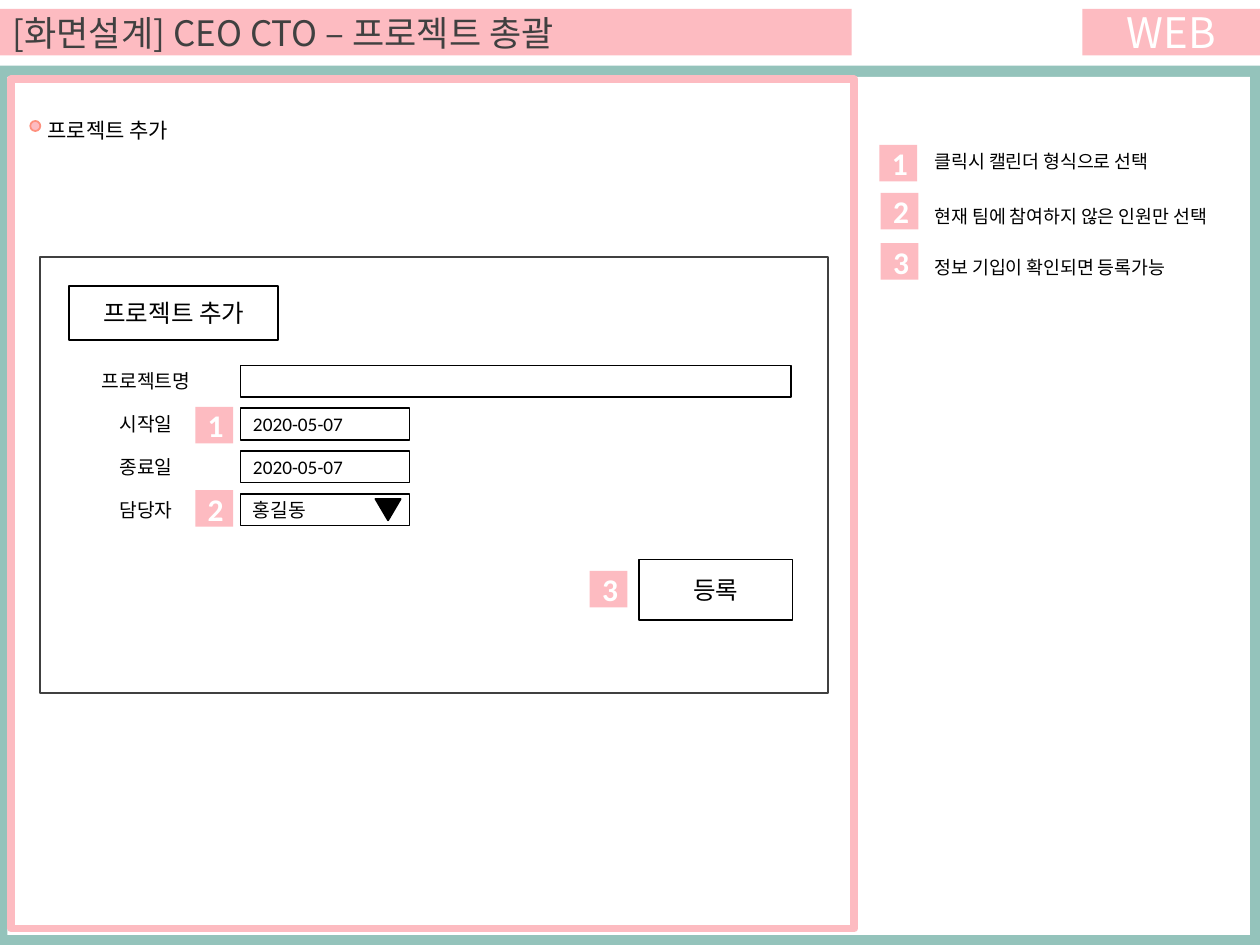
from lxml.etree import SubElement
from pptx import Presentation
from pptx.dml.color import RGBColor
from pptx.enum.shapes import MSO_SHAPE as Shape
from pptx.enum.text import MSO_ANCHOR as Anchor, MSO_AUTO_SIZE as AutoSize, PP_ALIGN as Align
from pptx.oxml.ns import qn
from pptx.util import Inches, Pt

PINK = RGBColor(0xFD, 0xBB, 0xC1)
CORAL = RGBColor(0xFE, 0x90, 0x7E)
TEAL = RGBColor(0x94, 0xC3, 0xBB)
WHITE = RGBColor(0xFF, 0xFF, 0xFF)
GREY = RGBColor(0x40, 0x40, 0x40)
BLACK = RGBColor(0, 0, 0)
LATIN, KOREAN = "Calibri", "Noto Sans CJK KR"

TITLE = "[화면설계] CEO CTO – 프로젝트 총괄"
PLATFORM = "WEB"
SECTION = "프로젝트 추가"
SUBMIT = "등록"
FIELDS = [
    ("프로젝트명", "", 4.37),
    ("시작일", "2020-05-07", 1.34),
    ("종료일", "2020-05-07", 1.34),
    ("담당자", "홍길동", 1.34),
]
NOTES = [
    ("클릭시 캘린더 형식으로 선택", 1.14, 0.28, 1),
    ("현재 팀에 참여하지 않은 인원만 선택", 1.49, 0.37, 1.5),
    ("정보 기입이 확인되면 등록가능", 1.9, 0.37, 1.5),
]
NOTE_MARKERS = [(6.98, 1.15), (6.99, 1.53), (6.99, 1.93)]
FORM_MARKERS = [(1.55, 3.23), (1.55, 3.89), (4.68, 4.53)]
FIELD_TOP, FIELD_PITCH, FIELD_HEIGHT = 2.9, 0.34, 0.25


def write(shape, text, size, color=BLACK, align=Align.LEFT, anchor=Anchor.MIDDLE,
          font=LATIN, bold=False, spacing=None):
    frame = shape.text_frame
    frame.word_wrap = True
    frame.auto_size = AutoSize.NONE
    frame.vertical_anchor = anchor
    paragraph = frame.paragraphs[0]
    paragraph.alignment = align
    paragraph.line_spacing = spacing
    run = paragraph.add_run()
    run.text = text
    run.font.size = Pt(size)
    run.font.bold = bold
    run.font.name = font
    run.font.color.rgb = color
    SubElement(run.font._element, qn("a:ea"), typeface=KOREAN)


def draw(shapes, box, fill=None, line=None, width=1, kind=Shape.RECTANGLE):
    shape = shapes.add_shape(kind, *map(Inches, box))
    shape.shadow.inherit = False
    if fill is None:
        shape.fill.background()
    else:
        shape.fill.solid()
        shape.fill.fore_color.rgb = fill
    if line is None:
        shape.line.fill.background()
    else:
        shape.line.color.rgb = line
        shape.line.width = Pt(width)
    return shape


def label(shapes, box, text, size, **style):
    write(shapes.add_textbox(*map(Inches, box)), text, size, **style)


def main():
    deck = Presentation()
    deck.slide_width, deck.slide_height = Inches(10), Inches(7.5)
    slide = deck.slides.add_slide(deck.slide_layouts[5])
    shapes = slide.shapes

    title = shapes.title
    title.left, title.top, title.width, title.height = map(Inches, (0, 0.07, 6.76, 0.37))
    title.fill.solid()
    title.fill.fore_color.rgb = PINK
    write(title, TITLE, 20, GREY, font=KOREAN)
    platform = draw(shapes, (8.59, 0.07, 1.41, 0.37), PINK)
    write(platform, PLATFORM, 24, WHITE, Align.CENTER, font=KOREAN)

    backdrop = shapes.add_group_shape().shapes
    draw(backdrop, (0, 0.52, 10, 6.98), TEAL)
    draw(backdrop, (0.06, 0.61, 9.86, 6.81), WHITE)
    draw(backdrop, (0.09, 0.63, 6.69, 6.74), line=PINK, width=4.5)

    draw(shapes, (0.24, 0.96, 0.08, 0.08), PINK, CORAL, kind=Shape.OVAL)
    label(shapes, (0.28, 0.88, 3.86, 0.3), SECTION, 12, anchor=Anchor.TOP)

    draw(shapes, (0.32, 2.04, 6.25, 3.46), line=GREY)
    for text, box in [(SECTION, (0.55, 2.27, 1.66, 0.43)), (SUBMIT, (5.07, 4.44, 1.22, 0.48))]:
        write(draw(shapes, box, line=BLACK), text, 14, align=Align.CENTER)

    for row, (name, value, width) in enumerate(FIELDS):
        top = FIELD_TOP + row * FIELD_PITCH
        label(shapes, (0.55, top, 1.22, FIELD_HEIGHT), name, 11, align=Align.CENTER)
        field = draw(shapes, (1.91, top, width, FIELD_HEIGHT), line=BLACK)
        if value:
            write(field, value, 11)
    arrow = draw(shapes, (2.98, 3.96, 0.2, 0.17), BLACK, BLACK, kind=Shape.ISOSCELES_TRIANGLE)
    arrow.rotation = 180

    for markers in (FORM_MARKERS, NOTE_MARKERS):
        for number, (left, top) in enumerate(markers, 1):
            marker = draw(shapes, (left, top, 0.3, 0.29), PINK)
            write(marker, str(number), 18, WHITE, Align.CENTER, bold=True)

    for text, top, height, spacing in NOTES:
        label(shapes, (7.32, top, 2.76, height), text, 10.5, anchor=Anchor.TOP, spacing=spacing)

    deck.save("out.pptx")


if __name__ == "__main__":
    main()
